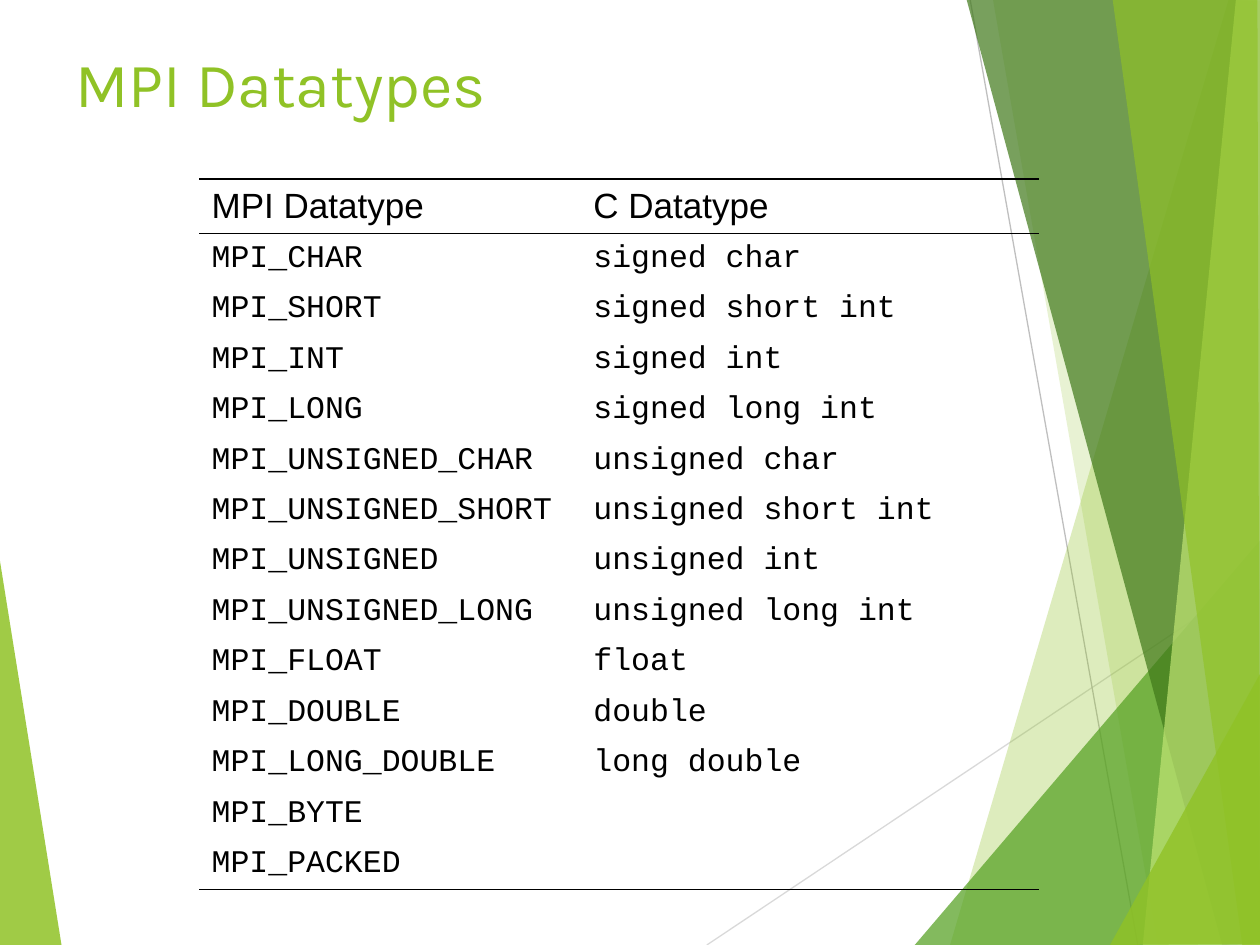
from lxml.etree import SubElement
from pptx import Presentation
from pptx.dml.color import RGBColor
from pptx.enum.shapes import MSO_CONNECTOR
from pptx.enum.text import MSO_ANCHOR
from pptx.oxml import parse_xml
from pptx.oxml.ns import nsdecls, qn
from pptx.util import Inches, Pt

GREEN = "90C226"
BLACK = "000000"
PLAIN_TABLE_STYLE = "{2D5ABB26-0587-4C30-8999-92F81FD0307C}"

LEFT_FACET = ([(-0.01, 4.39), (0.49, 7.51), (-0.01, 7.5)], GREEN, 85)
RIGHT_FACETS = [
    ([(9.75, 0), (7.54, 7.5), (10.02, 7.51), (10.01, 0.01)], GREEN, 30),
    ([(7.88, -0.01), (9.19, 7.5), (10.01, 7.5), (10.01, -0.01)], GREEN, 20),
    ([(7.26, 7.5), (10, 4.29), (10.01, 7.5)], "54A021", 72),
    ([(7.67, -0.01), (9.7, 7.5), (10.01, 7.49), (10.01, -0.01)], "3F7819", 70),
    ([(9.81, -0.01), (9.07, 7.5), (10.01, 7.5), (10, -0.01)], "C0E474", 70),
    ([(8.83, -0.01), (9.86, 7.5), (10, 7.5), (9.98, -0.01)], GREEN, 65),
    ([(8.81, 7.5), (10, 5.35), (10.01, 7.49)], GREEN, 80),
]
BACKGROUND_LINES = [
    ((5.61, 7.5), (10.01, 4.56), "D9D9D9"),
    ((7.7, 0), (9.03, 7.5), "BFBFBF"),
]
DATATYPES = [
    ("MPI Datatype", "C Datatype"),
    ("MPI_CHAR", "signed char"),
    ("MPI_SHORT", "signed short int"),
    ("MPI_INT", "signed int"),
    ("MPI_LONG", "signed long int"),
    ("MPI_UNSIGNED_CHAR", "unsigned char"),
    ("MPI_UNSIGNED_SHORT", "unsigned short int"),
    ("MPI_UNSIGNED", "unsigned int"),
    ("MPI_UNSIGNED_LONG", "unsigned long int"),
    ("MPI_FLOAT", "float"),
    ("MPI_DOUBLE", "double"),
    ("MPI_LONG_DOUBLE", "long double"),
    ("MPI_BYTE", ""),
    ("MPI_PACKED", ""),
]


def color(hex_value):
    return RGBColor.from_string(hex_value)


def add_facet(slide, points, fill, opacity):
    corners = [(Inches(x), Inches(y)) for x, y in points]
    builder = slide.shapes.build_freeform(*corners[0])
    builder.add_line_segments(corners[1:], close=True)
    shape = builder.convert_to_shape()
    shape.shadow.inherit = False
    shape.line.fill.background()
    shape.fill.solid()
    shape.fill.fore_color.rgb = color(fill)
    fill_color = shape.fill._xPr.find(qn("a:solidFill"))[0]
    SubElement(fill_color, qn("a:alpha"), val=str(opacity * 1000))


def add_line(slide, start, end, line_color):
    ends = [Inches(value) for value in (*start, *end)]
    connector = slide.shapes.add_connector(MSO_CONNECTOR.STRAIGHT, *ends)
    connector.line.color.rgb = color(line_color)
    connector.line.width = Pt(0.75)
    SubElement(connector._element.spPr, qn("a:effectLst"))


def add_run(paragraph, text, font, size, text_color):
    run = paragraph.add_run()
    run.text = text
    run.font.name = font
    run.font.size = Pt(size)
    run.font.color.rgb = color(text_color)


def add_title(slide, text):
    box = slide.shapes.add_textbox(Inches(0.5), Inches(0.3), Inches(9), Inches(1.25))
    box.text_frame.word_wrap = True
    add_run(box.text_frame.paragraphs[0], text, "Karla", 36, GREEN)


def add_border(cell, side):
    border = parse_xml(
        f'<a:{side} {nsdecls("a")} w="{Pt(1)}"><a:solidFill>'
        f'<a:srgbClr val="{BLACK}"/></a:solidFill></a:{side}>'
    )
    cell._tc.get_or_add_tcPr().insert(0, border)


def fill_cell(cell, text, font, size):
    cell.fill.background()
    cell.vertical_anchor = MSO_ANCHOR.MIDDLE
    cell.margin_left = cell.margin_right = Inches(0.1)
    cell.margin_top = cell.margin_bottom = Inches(0.05)
    if text:
        add_run(cell.text_frame.paragraphs[0], text, font, size, BLACK)


def add_datatype_table(slide, rows):
    frame = slide.shapes.add_table(
        len(rows), 2, Inches(1.58), Inches(1.42), Inches(6.67), Inches(5.63)
    )
    table = frame.table
    table.first_row = table.horz_banding = False
    table._tbl.tblPr.find(qn("a:tableStyleId")).text = PLAIN_TABLE_STYLE
    for column, width in zip(table.columns, (3.03, 3.64)):
        column.width = Inches(width)
    last = len(rows) - 1
    for row_index, texts in enumerate(rows):
        header = row_index == 0
        table.rows[row_index].height = Inches(0.43 if header else 0.4)
        font, size = ("Arial", 20) if header else ("Courier New", 18)
        for column_index, text in enumerate(texts):
            cell = table.cell(row_index, column_index)
            fill_cell(cell, text, font, size)
            if row_index in (0, last):
                add_border(cell, "lnB")
            if header:
                add_border(cell, "lnT")


def main():
    presentation = Presentation()
    presentation.slide_width = Inches(10)
    presentation.slide_height = Inches(7.5)
    slide = presentation.slides.add_slide(presentation.slide_layouts[6])
    add_facet(slide, *LEFT_FACET)
    for line in BACKGROUND_LINES:
        add_line(slide, *line)
    for facet in RIGHT_FACETS:
        add_facet(slide, *facet)
    add_title(slide, "MPI Datatypes")
    add_datatype_table(slide, DATATYPES)
    presentation.save("out.pptx")


if __name__ == "__main__":
    main()
